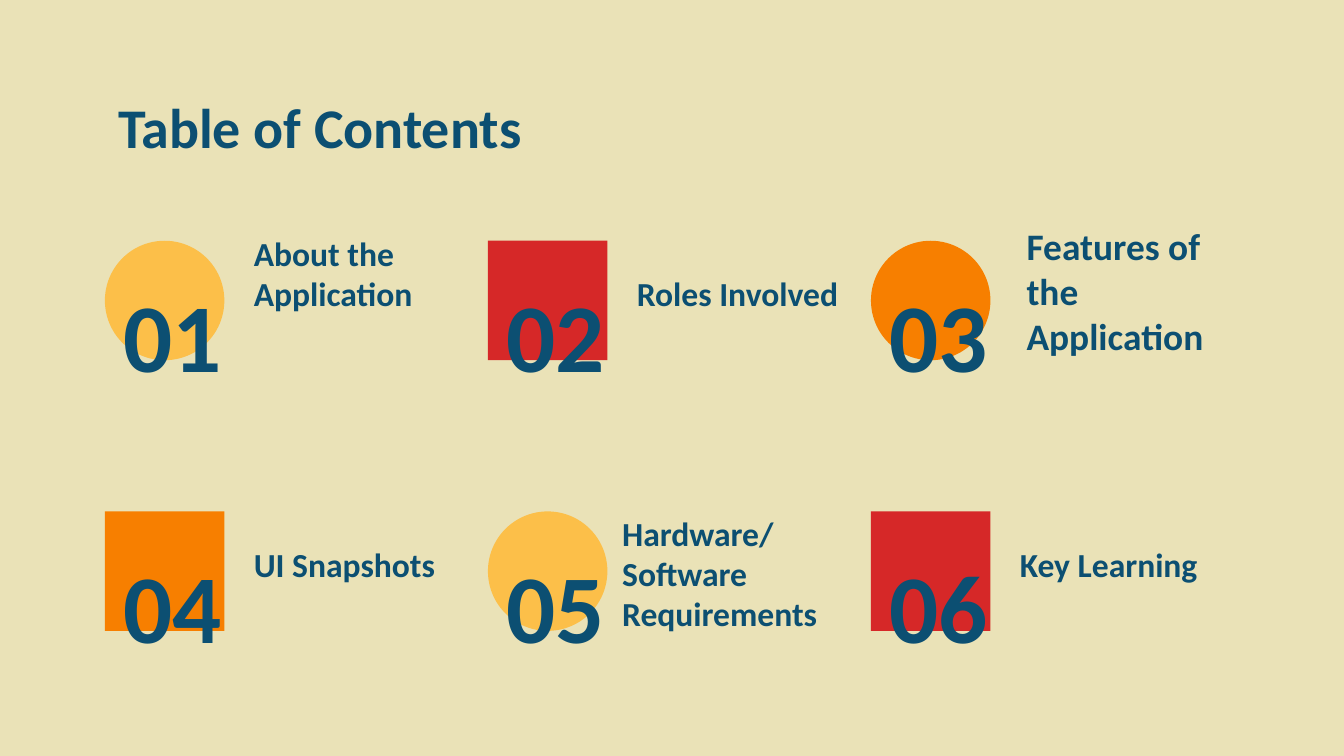
from dataclasses import dataclass

from pptx import Presentation
from pptx.dml.color import RGBColor
from pptx.enum.shapes import MSO_SHAPE as Shape
from pptx.enum.text import MSO_ANCHOR as Anchor, PP_ALIGN as Align
from pptx.slide import Slide
from pptx.util import Pt

CREAM, NAVY = "EAE2B7", "0C4F72"
YELLOW, RED, ORANGE = "FCBF49", "D62828", "F77F00"

LEFT, TOP = 56.2, 129
COLUMNS, COLUMN_STEP, ROW_STEP = 3, 205.2, 145
BADGE_SIZE = 64
TEXT_DROP = 11.6


@dataclass
class Frame:
    left: float
    top: float
    width: float
    height: float


@dataclass
class Entry:
    label: str
    badge: Shape
    color: str
    # Label frame, relative to the corner of the entry's badge
    frame: Frame
    size: float = 18


LABEL = Frame(72.7, TEXT_DROP, 132.5, 34.5)
NUMBER = Frame(0, TEXT_DROP, 72.7, 76.3)

ENTRIES = [
    Entry("About the Application", Shape.OVAL, YELLOW, LABEL),
    Entry("Roles Involved", Shape.RECTANGLE, RED, LABEL),
    Entry("Features of the Application", Shape.OVAL, ORANGE,
          Frame(76.3, 46, 132.5, 23.8), 20),
    Entry("UI Snapshots", Shape.RECTANGLE, ORANGE, LABEL),
    Entry("Hardware/ Software Requirements", Shape.OVAL, YELLOW,
          Frame(64.8, -3.6, 123.8, 76.3)),
    Entry("Key Learning", Shape.RECTANGLE, RED, LABEL),
]


def rgb(color: str) -> RGBColor:
    return RGBColor.from_string(color)


def add_text(page: Slide, text: str, frame: Frame, size: float,
             anchor: Anchor, align: Align = Align.LEFT) -> None:
    box = page.shapes.add_textbox(Pt(frame.left), Pt(frame.top),
                                  Pt(frame.width), Pt(frame.height))
    body = box.text_frame
    body.word_wrap = True
    body.vertical_anchor = anchor
    body.margin_left = body.margin_right = Pt(7.2)
    body.margin_top = body.margin_bottom = Pt(7.2)
    para = body.paragraphs[0]
    para.text = text
    para.alignment = align
    para.font.name = "Calibri"
    para.font.size = Pt(size)
    para.font.bold = True
    para.font.color.rgb = rgb(NAVY)


def add_entry(page: Slide, index: int, entry: Entry) -> None:
    row, column = divmod(index, COLUMNS)
    left, top = LEFT + column * COLUMN_STEP, TOP + row * ROW_STEP

    def placed(frame: Frame) -> Frame:
        """Move a frame from entry coordinates to slide coordinates."""
        return Frame(left + frame.left, top + frame.top,
                     frame.width, frame.height)

    badge = page.shapes.add_shape(entry.badge, Pt(left), Pt(top),
                                  Pt(BADGE_SIZE), Pt(BADGE_SIZE))
    badge.shadow.inherit = False
    badge.fill.solid()
    badge.fill.fore_color.rgb = rgb(entry.color)
    badge.line.fill.background()
    add_text(page, f"{index + 1:02}", placed(NUMBER), 52,
             Anchor.MIDDLE, Align.CENTER)
    add_text(page, entry.label, placed(entry.frame), entry.size, Anchor.BOTTOM)


def main() -> None:
    deck = Presentation()
    deck.slide_width, deck.slide_height = Pt(720), Pt(405)
    page = deck.slides.add_slide(deck.slide_layouts[6])
    page.background.fill.solid()
    page.background.fill.fore_color.rgb = rgb(CREAM)

    add_text(page, "Table of Contents", Frame(LEFT, 42.5, 607.7, 45.4), 30,
             Anchor.TOP)
    for index, entry in enumerate(ENTRIES):
        add_entry(page, index, entry)
    deck.save("out.pptx")


if __name__ == "__main__":
    main()
